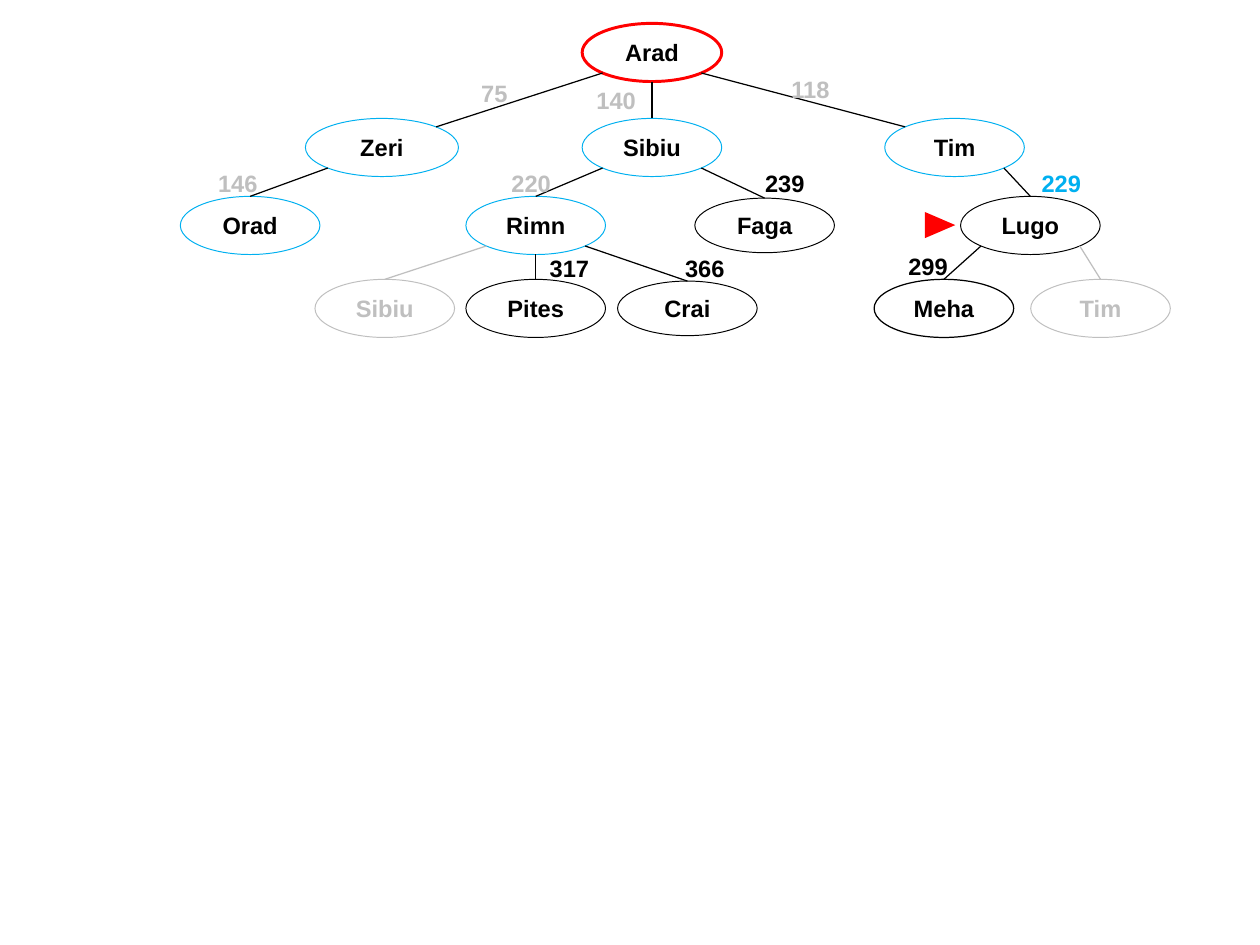
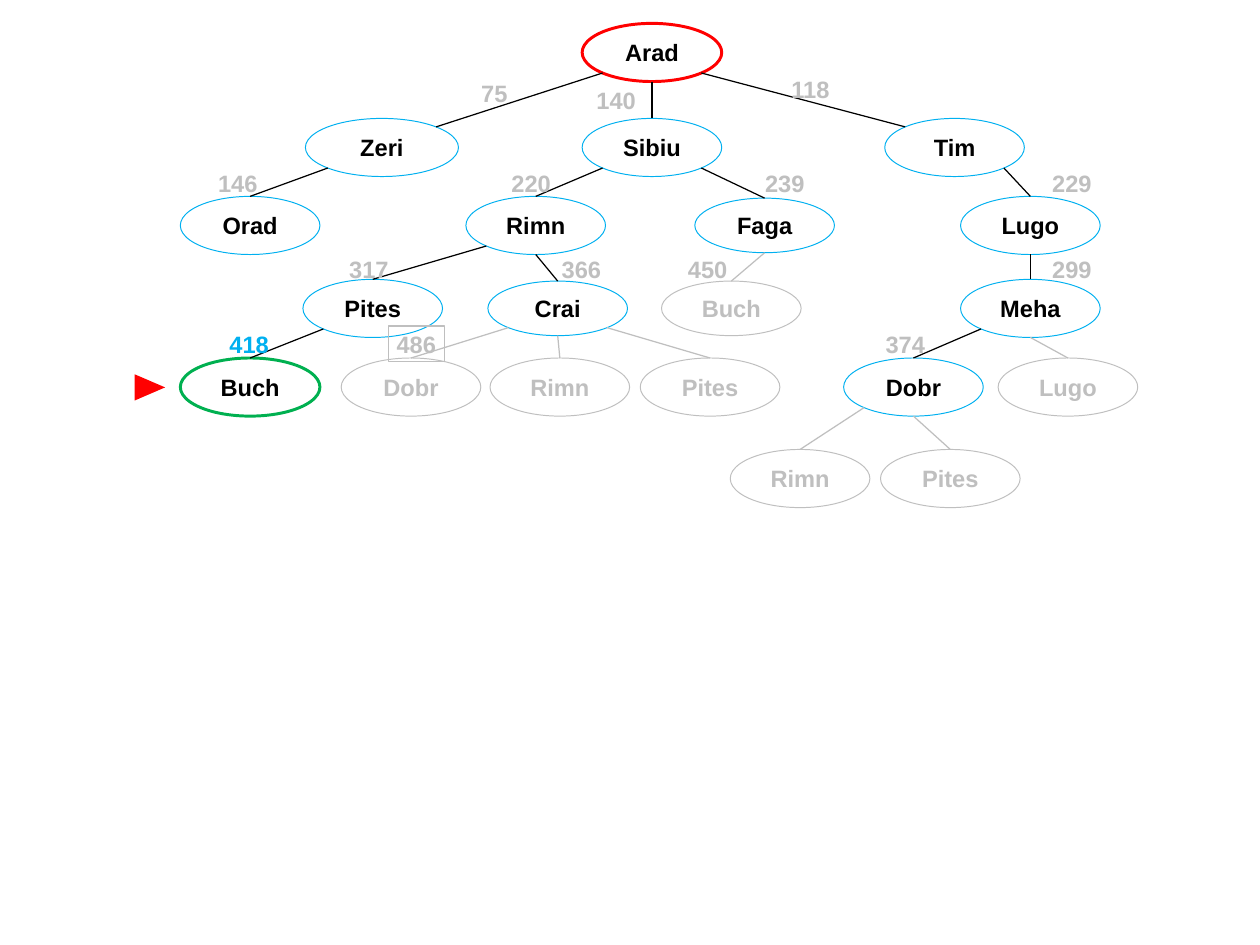
"""Two stages of a route search drawn as a tree, with path costs and a cursor."""
from lxml import etree
from pptx import Presentation
from pptx.dml.color import RGBColor
from pptx.enum.shapes import MSO_CONNECTOR, MSO_SHAPE
from pptx.enum.text import MSO_ANCHOR, MSO_AUTO_SIZE, PP_ALIGN
from pptx.oxml.ns import qn
from pptx.util import Inches, Pt

ELLIPSE, RECTANGLE, TRIANGLE = MSO_SHAPE.OVAL, MSO_SHAPE.RECTANGLE, MSO_SHAPE.ISOSCELES_TRIANGLE
STRAIGHT = MSO_CONNECTOR.STRAIGHT
MIDDLE, CENTER = MSO_ANCHOR.MIDDLE, PP_ALIGN.CENTER
GROW = MSO_AUTO_SIZE.SHAPE_TO_FIT_TEXT

BLACK, GREY, BLUE, RED, GREEN = "000000", "BFBFBF", "00B0F0", "FF0000", "00B050"
FONT, TEXT_SIZE, EDGE_WIDTH = "Arial", 24, 1.25

STATES = {
    "start": (RED, 3, BLACK),
    "expanded": (BLUE, 1, BLACK),
    "frontier": (BLACK, 1, BLACK),
    "newest": (BLACK, 1.25, BLACK),
    "pruned": (GREY, 1, GREY),
    "goal": (GREEN, 3, BLACK),
}

ROW_CENTERS = [0.74, 2.08, 3.18, 4.35, 5.46, 6.75]
NODE_SIZE = (1.97, 0.82)
SPECIAL_SIZES = {
    ("Zeri", 1): (2.16, 0.82),
    ("Faga", 2): (1.97, 0.77),
    ("Crai", 3): (1.97, 0.77),
    ("Buch", 3): (1.97, 0.77),
}
COST_SIZE = (0.79, 0.5)
CURSOR_SIZE = (0.37, 0.43)

DIAGONAL = 0.5 * 0.5 ** 0.5
TOP, TOP_LEFT, BOTTOM_LEFT, BOTTOM, BOTTOM_RIGHT, TOP_RIGHT = 0, 1, 3, 4, 5, 7
SITES = {
    TOP: (0, -0.5),
    TOP_LEFT: (-DIAGONAL, -DIAGONAL),
    BOTTOM_LEFT: (-DIAGONAL, DIAGONAL),
    BOTTOM: (0, 0.5),
    BOTTOM_RIGHT: (DIAGONAL, DIAGONAL),
    TOP_RIGHT: (DIAGONAL, -DIAGONAL),
}

# NODE FIELDS: label, center x, row, state, parent, site on parent, site on node
SHARED_NODES = [
    ("Arad", 9.2, 0, "start", None, None, None),
    ("Zeri", 5.39, 1, "expanded", "Arad", BOTTOM_LEFT, TOP_RIGHT),
    ("Sibiu", 9.2, 1, "expanded", "Arad", BOTTOM, TOP),
    ("Tim", 13.47, 1, "expanded", "Arad", BOTTOM_RIGHT, TOP_LEFT),
    ("Orad", 3.53, 2, "expanded", "Zeri", BOTTOM_LEFT, TOP),
    ("Rimn", 7.56, 2, "expanded", "Sibiu", BOTTOM_LEFT, TOP),
]
SHARED_COSTS = [
    ("75", 6.58, 1.06, GREY),
    ("140", 8.3, 1.16, GREY),
    ("118", 11.04, 1.01, GREY),
    ("146", 2.96, 2.33, GREY),
    ("220", 7.1, 2.33, GREY),
]

STAGES = [
    {
        "nodes": [
            ("Faga", 10.79, 2, "frontier", "Sibiu", BOTTOM_RIGHT, TOP),
            ("Lugo", 14.54, 2, "frontier", "Tim", BOTTOM_RIGHT, TOP),
            ("Sibiu", 5.43, 3, "pruned", "Rimn", BOTTOM_LEFT, TOP),
            ("Pites", 7.56, 3, "frontier", "Rimn", BOTTOM, TOP),
            ("Crai", 9.7, 3, "frontier", "Rimn", BOTTOM_RIGHT, TOP),
            ("Meha", 13.32, 3, "newest", "Lugo", BOTTOM_LEFT, TOP),
            ("Tim", 15.53, 3, "pruned", "Lugo", BOTTOM_RIGHT, TOP),
        ],
        "costs": [
            ("239", 10.68, 2.33, BLACK),
            ("229", 14.58, 2.33, BLUE),
            ("317", 7.64, 3.53, BLACK),
            ("366", 9.55, 3.53, BLACK),
            ("299", 12.7, 3.51, BLACK),
        ],
        "boxed": [],
        "cursor": (13.08, 2.96),
    },
    {
        "nodes": [
            ("Faga", 10.79, 2, "expanded", "Sibiu", BOTTOM_RIGHT, TOP),
            ("Lugo", 14.54, 2, "expanded", "Tim", BOTTOM_RIGHT, TOP),
            ("Pites", 5.26, 3, "expanded", "Rimn", BOTTOM_LEFT, TOP),
            ("Crai", 7.87, 3, "expanded", "Rimn", BOTTOM, TOP),
            ("Buch", 10.32, 3, "pruned", "Faga", BOTTOM, TOP),
            ("Meha", 14.54, 3, "expanded", "Lugo", BOTTOM, TOP),
            ("Dobr", 12.89, 4, "expanded", "Meha", BOTTOM_LEFT, TOP),
            ("Lugo", 15.07, 4, "pruned", "Meha", BOTTOM, TOP),
            ("Buch", 3.53, 4, "goal", "Pites", BOTTOM_LEFT, TOP),
            ("Dobr", 5.8, 4, "pruned", "Crai", BOTTOM_LEFT, TOP),
            ("Rimn", 7.9, 4, "pruned", "Crai", BOTTOM, TOP),
            ("Pites", 10.02, 4, "pruned", "Crai", BOTTOM_RIGHT, TOP),
            ("Rimn", 11.29, 5, "pruned", "Dobr", BOTTOM_LEFT, TOP),
            ("Pites", 13.41, 5, "pruned", "Dobr", BOTTOM, TOP),
        ],
        "costs": [
            ("239", 10.68, 2.33, GREY),
            ("229", 14.73, 2.33, GREY),
            ("317", 4.81, 3.54, GREY),
            ("366", 7.81, 3.54, GREY),
            ("450", 9.59, 3.54, GREY),
            ("299", 14.73, 3.54, GREY),
            ("374", 12.38, 4.6, GREY),
            ("418", 3.12, 4.6, BLUE),
        ],
        "boxed": [("486", 5.48, 4.6, GREY)],
        "cursor": (1.93, 5.25),
    },
]


def color(value):
    return RGBColor.from_string(value)


def write(shape, text, text_color):
    shape.text_frame.word_wrap = True
    paragraph = shape.text_frame.paragraphs[0]
    paragraph.alignment = CENTER
    run = paragraph.add_run()
    run.text = text
    run.font.name, run.font.size, run.font.bold = FONT, Pt(TEXT_SIZE), True
    run.font.color.rgb = color(text_color)


def add_outline(slide, preset, left, top, size, line_color, line_width):
    shape = slide.shapes.add_shape(preset, *map(Inches, (left, top, *size)))
    shape.shadow.inherit = False
    shape.fill.background()
    shape.line.color.rgb = color(line_color)
    shape.line.width = Pt(line_width)
    return shape


def add_node(slide, label, center_x, row, state):
    width, height = size = SPECIAL_SIZES.get((label, row), NODE_SIZE)
    line_color, line_width, text_color = STATES[state]
    node = add_outline(slide, ELLIPSE, center_x - width / 2, ROW_CENTERS[row] - height / 2,
                       size, line_color, line_width)
    frame = node.text_frame
    frame.vertical_anchor = MIDDLE
    frame.margin_left = frame.margin_right = Inches(0.18)
    frame.margin_top = frame.margin_bottom = Inches(0.09)
    write(node, label, text_color)
    return node


def site_point(node, site):
    across, down = SITES[site]
    return (round(node.left + (0.5 + across) * node.width),
            round(node.top + (0.5 + down) * node.height))


def add_edge(slide, parent, parent_site, child, child_site, edge_color):
    edge = slide.shapes.add_connector(STRAIGHT, *site_point(parent, parent_site),
                                      *site_point(child, child_site))
    edge.line.color.rgb = color(edge_color)
    edge.line.width = Pt(EDGE_WIDTH)
    etree.SubElement(edge._element.spPr, qn("a:effectLst"))
    joints = edge._element.nvCxnSpPr.cNvCxnSpPr
    for tag, node, site in (("a:stCxn", parent, parent_site), ("a:endCxn", child, child_site)):
        etree.SubElement(joints, qn(tag), id=str(node.shape_id), idx=str(site))


def add_tree(slide, nodes):
    placed = {}
    for label, center_x, row, state, parent, parent_site, node_site in nodes:
        node = add_node(slide, label, center_x, row, state)
        if parent:
            add_edge(slide, placed[parent], parent_site, node, node_site, STATES[state][2])
        placed.setdefault(label, node)


def add_costs(slide, costs, boxed):
    for cost in costs + boxed:
        text, left, top, text_color = cost
        if cost in boxed:
            shape = add_outline(slide, RECTANGLE, left, top, COST_SIZE, text_color, EDGE_WIDTH)
        else:
            shape = slide.shapes.add_textbox(*map(Inches, (left, top, *COST_SIZE)))
        shape.text_frame.auto_size = GROW
        write(shape, text, text_color)


def add_cursor(slide, position):
    cursor = slide.shapes.add_shape(TRIANGLE, *map(Inches, position + CURSOR_SIZE))
    cursor.rotation = 90
    cursor.shadow.inherit = False
    cursor.fill.solid()
    cursor.fill.fore_color.rgb = color(RED)
    cursor.line.fill.background()


def main():
    presentation = Presentation()
    presentation.slide_width, presentation.slide_height = Inches(17.78), Inches(13.33)
    for stage in STAGES:
        slide = presentation.slides.add_slide(presentation.slide_layouts[6])
        add_tree(slide, SHARED_NODES + stage["nodes"])
        add_costs(slide, SHARED_COSTS + stage["costs"], stage["boxed"])
        add_cursor(slide, stage["cursor"])
    presentation.save("out.pptx")


if __name__ == "__main__":
    main()
